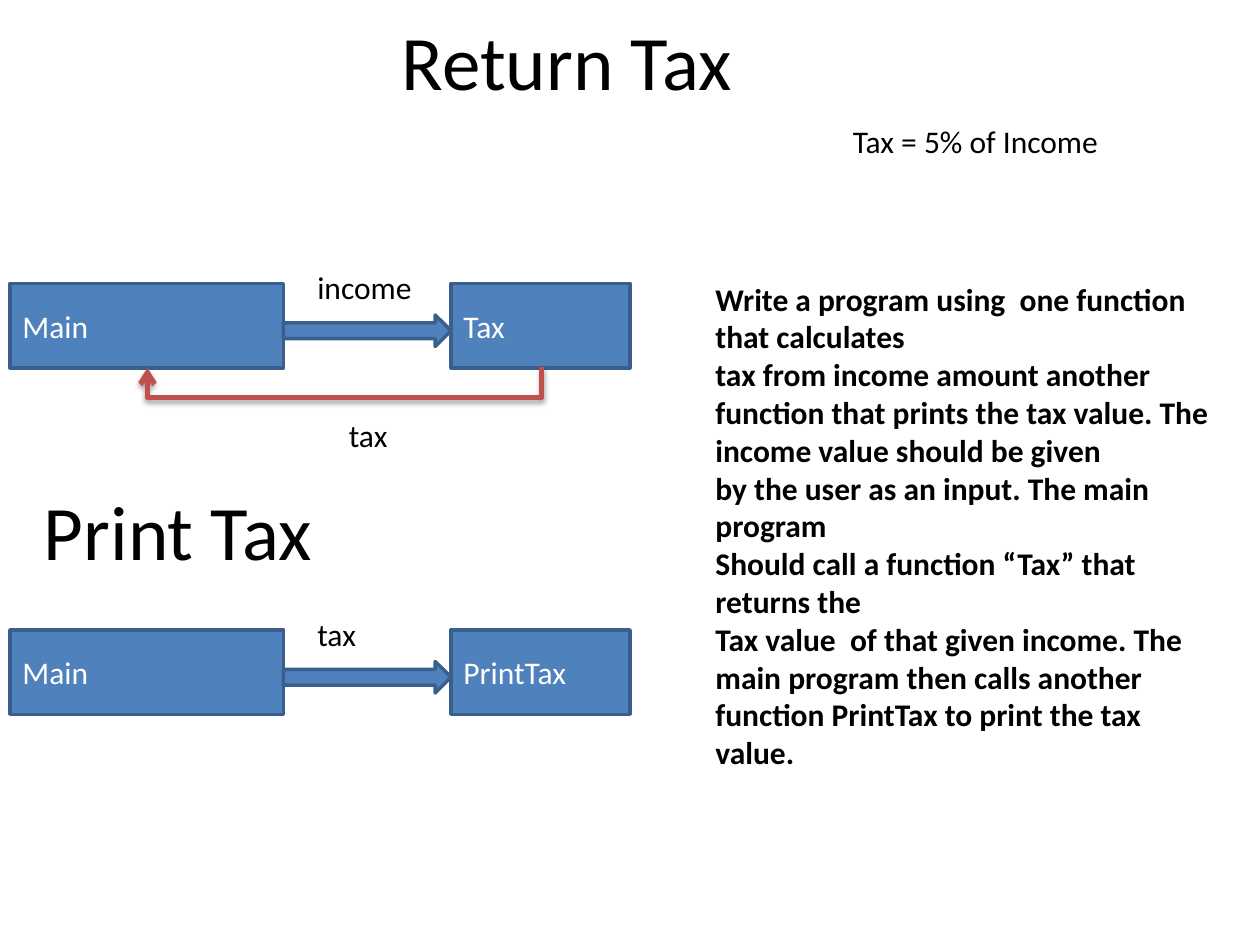
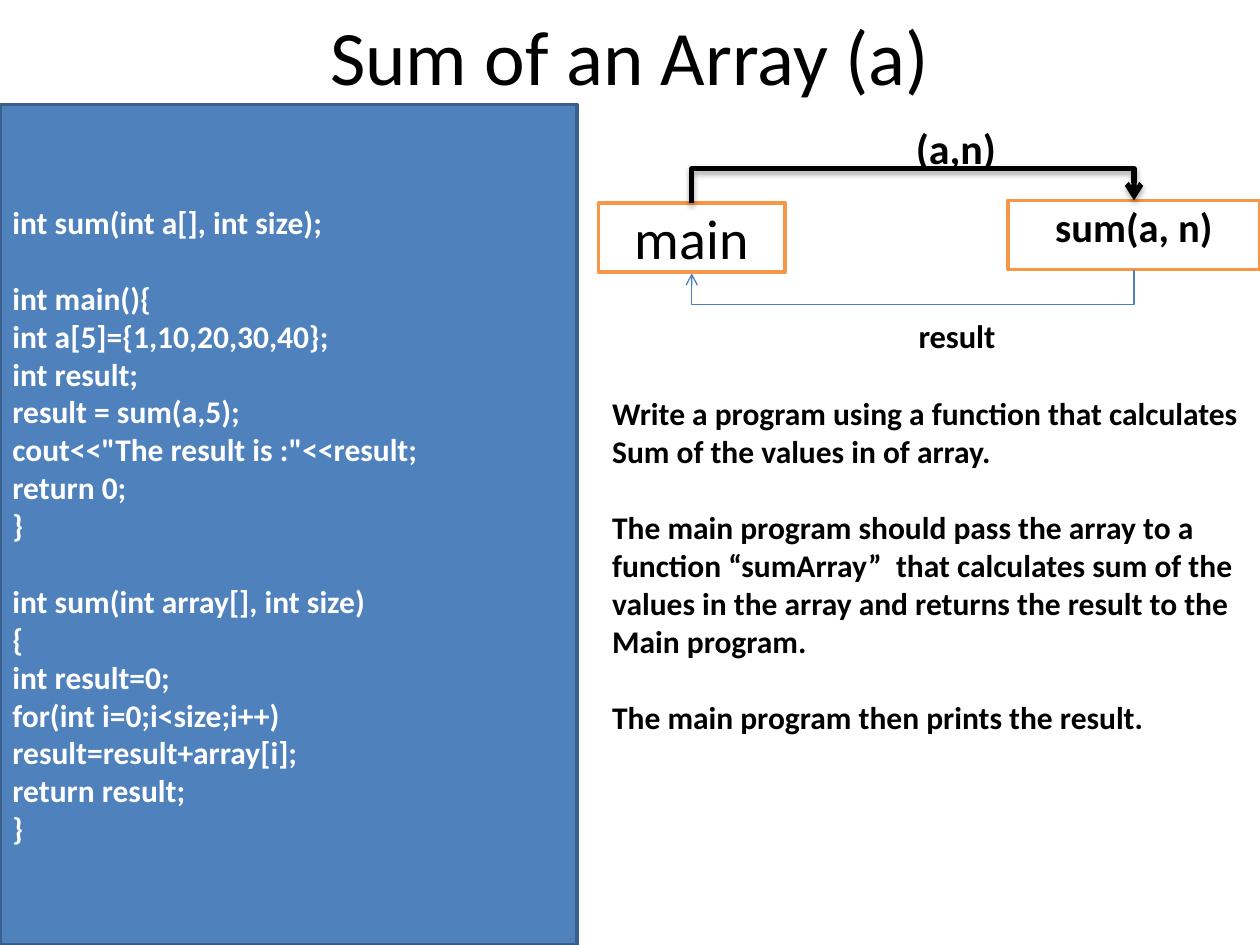
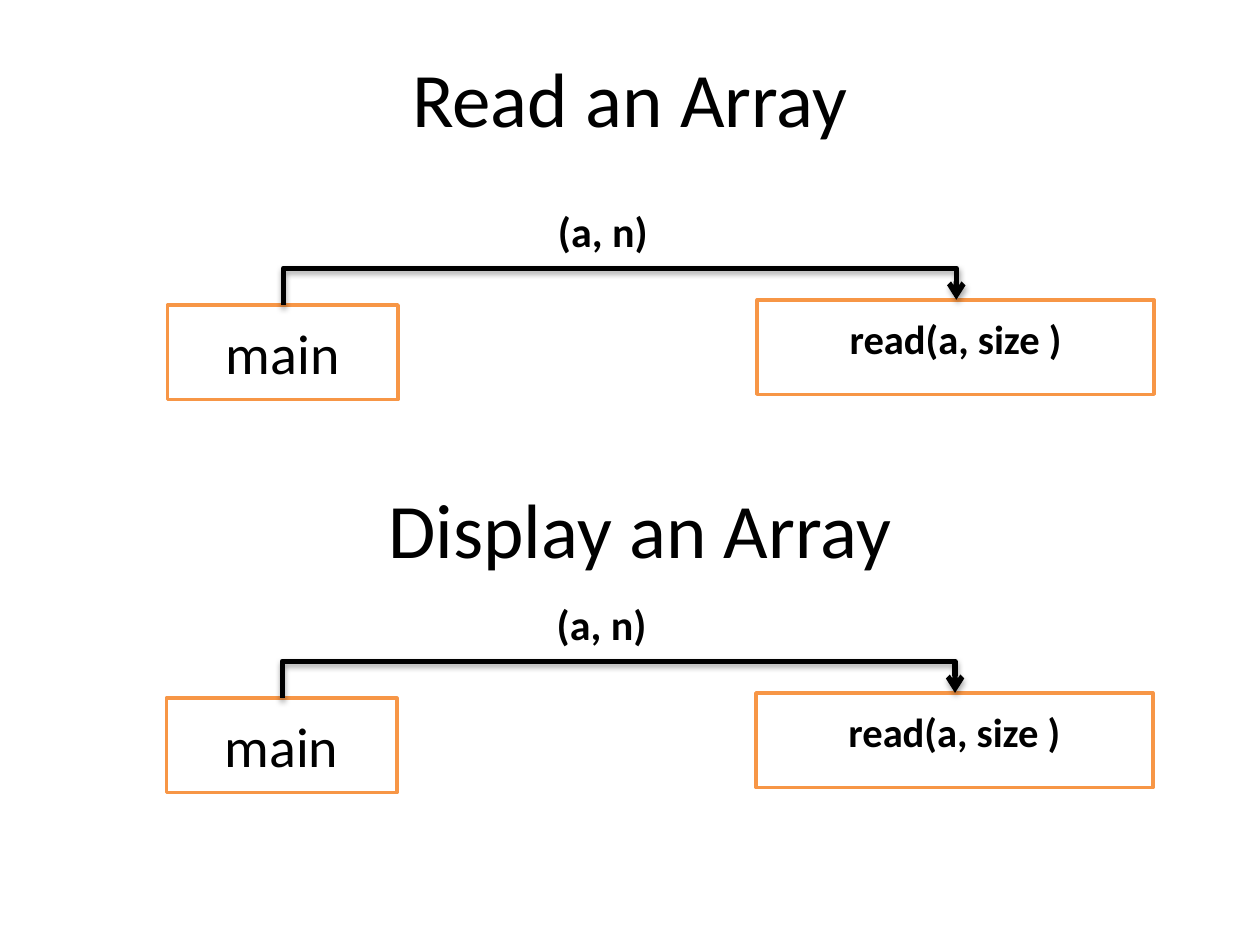
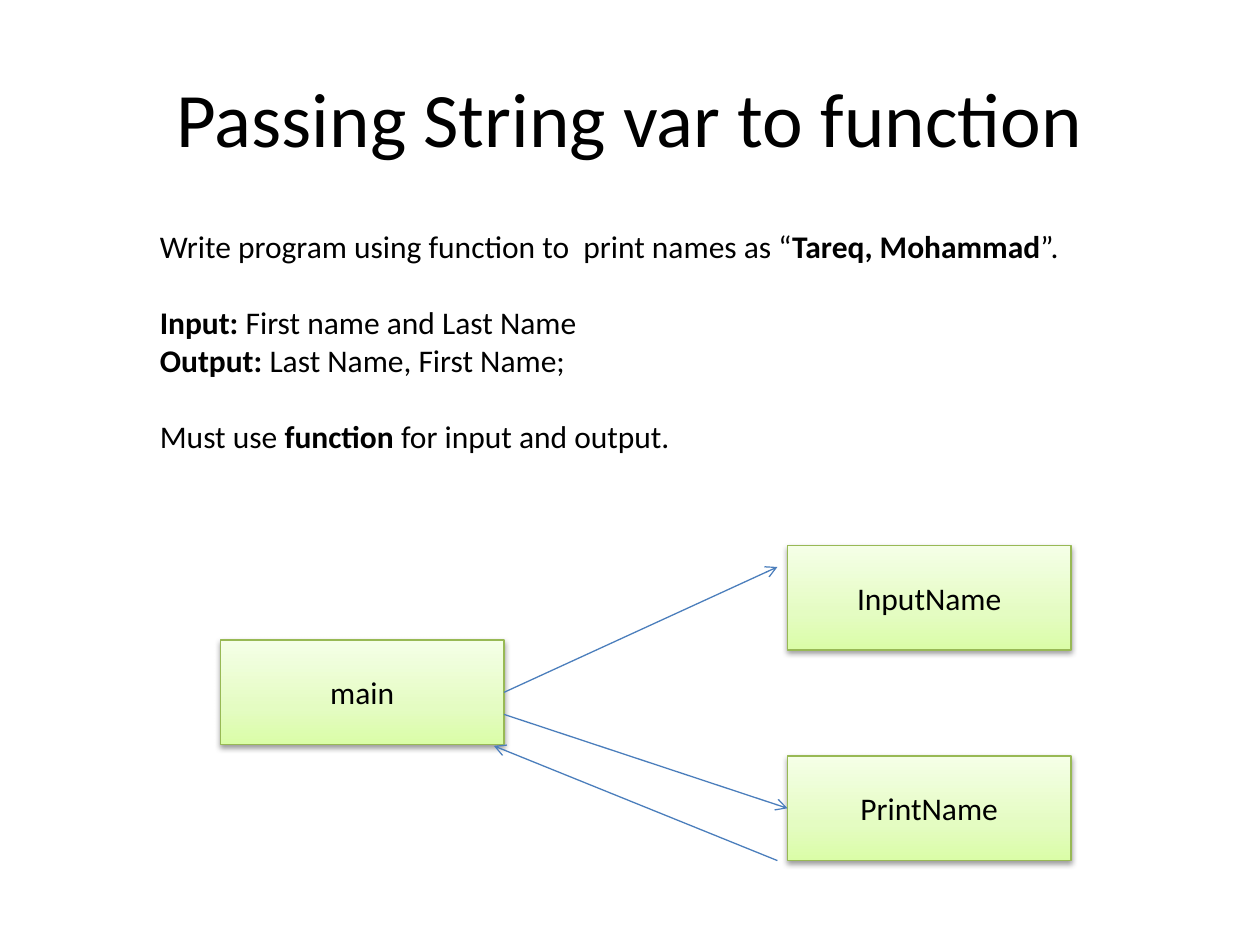
from copy import deepcopy
from dataclasses import dataclass, replace

from lxml.etree import SubElement
from pptx import Presentation
from pptx.dml.color import RGBColor
from pptx.enum.shapes import MSO_CONNECTOR as Link, MSO_SHAPE as Shape
from pptx.enum.text import MSO_ANCHOR as Anchor, MSO_AUTO_SIZE as Fit, PP_ALIGN as Align
from pptx.oxml.ns import qn
from pptx.util import Inches, Pt


@dataclass(frozen=True)
class Theme:
    font: str = "Calibri"
    title: int = 44
    raised: int = 40
    name: int = 32
    call: int = 24
    body: int = 18
    line_gap: int = 22
    black: str = "000000"
    white: str = "FFFFFF"
    blue: str = "4F81BD"
    navy: str = "3A5F8C"
    arrow_blue: str = "4B7EBC"
    red: str = "C0504D"
    orange: str = "F79646"
    green: str = "98B955"
    green_stops: tuple = ((0, "DAFDA7"), (0.35, "E4FCC2"), (1, "F5FFE7"))


@dataclass(frozen=True)
class Look:
    size: int
    color: str = Theme.black
    bold: bool = False
    align: Align = Align.LEFT
    anchor: Anchor = Anchor.TOP
    wrap: bool = False
    raised: bool = False
    fill: str | tuple = ""
    line: str = ""
    weight: float = 2


THEME = Theme()
LABEL = Look(THEME.body)
BOLD_LABEL = replace(LABEL, bold=True)
CALL = Look(THEME.call, bold=True)
HEADING = Look(THEME.title, anchor=Anchor.MIDDLE, wrap=True)
BLUE_BOX = Look(THEME.body, THEME.white, anchor=Anchor.MIDDLE, wrap=True,
                fill=THEME.blue, line=THEME.navy)
MAIN_BOX = Look(THEME.name, align=Align.CENTER, anchor=Anchor.MIDDLE, wrap=True,
                fill=THEME.white, line=THEME.orange)
FUNCTION_BOX = replace(MAIN_BOX, size=THEME.raised, bold=True, raised=True)
GREEN_BOX = replace(MAIN_BOX, size=THEME.body, fill=THEME.green_stops,
                    line=THEME.green, weight=0.75)


def add_block(page, at, lines, look, kind=None):
    """Add a preset shape, or a text box without kind; *...* is bold, "" a gap."""
    place = [Inches(length) for length in at]
    if kind is None:
        box = page.shapes.add_textbox(*place)
    else:
        box = page.shapes.add_shape(kind, *place)
        box.shadow.inherit = False
        box.line.color.rgb = RGBColor.from_string(look.line)
        box.line.width = Pt(look.weight)
        if isinstance(look.fill, str):
            box.fill.solid()
            box.fill.fore_color.rgb = RGBColor.from_string(look.fill)
        else:
            box.fill.gradient()
            box.fill.gradient_angle = 90
            stops = box._element.spPr.find(".//" + qn("a:gsLst"))
            stops.insert(1, deepcopy(stops[0]))
            for stop, (position, color) in zip(box.fill.gradient_stops, look.fill):
                stop.position = position
                stop.color.rgb = RGBColor.from_string(color)
            add_shadow = SubElement(box._element.spPr.find(qn("a:effectLst")), qn("a:outerShdw"),
                                    blurRad="40000", dist="20000", dir="5400000", rotWithShape="0")
            tint = SubElement(add_shadow, qn("a:srgbClr"), val=THEME.black)
            SubElement(tint, qn("a:alpha"), val="38000")

    frame = box.text_frame
    frame.word_wrap = look.wrap
    frame.vertical_anchor = look.anchor
    if not look.wrap:
        frame.auto_size = Fit.SHAPE_TO_FIT_TEXT
    para, gap = None, False
    for line in lines:
        if not line:
            gap = True
            continue
        para = frame.add_paragraph() if para else frame.paragraphs[0]
        para.alignment = look.align
        if gap:
            para.space_before = Pt(THEME.line_gap)
            gap = False
        for index, piece in enumerate(line.split("*")):
            for part, words in enumerate(piece.split("\v")):
                if part:
                    para.add_line_break()
                if words:
                    span = para.add_run()
                    span.text = words
                    if index % 2:
                        span.font.bold = True
                    if look.raised:
                        span._r.get_or_add_rPr().set("baseline", "30000")
        para.font.name = THEME.font
        para.font.size = Pt(look.size)
        para.font.bold = look.bold
        para.font.color.rgb = RGBColor.from_string(look.color)
    return box


def add_arrow(page, start, end, color=THEME.arrow_blue, weight=0.75, lane=None):
    """Draw a straight arrow, or one that runs along the height lane."""
    if lane is None:
        arrow = page.shapes.add_connector(Link.STRAIGHT, *map(Inches, (*start, *end)))
    else:
        # A quarter turn swaps the axes around the arrow's centre.
        across, down = end[0] - start[0], end[1] - start[1]
        middle_x, middle_y = (start[0] + end[0]) / 2, (start[1] + end[1]) / 2
        corners = (middle_x - down / 2, middle_y + across / 2,
                   middle_x + down / 2, middle_y - across / 2)
        arrow = page.shapes.add_connector(Link.ELBOW, *map(Inches, corners))
        geometry = arrow._element.spPr
        geometry.find(qn("a:xfrm")).set("rot", "5400000")
        bend = round((lane - start[1]) / down * 100000)
        SubElement(geometry.find(".//" + qn("a:avLst")), qn("a:gd"),
                   name="adj1", fmla=f"val {bend}")
    arrow.line.color.rgb = RGBColor.from_string(color)
    arrow.line.width = Pt(weight)
    outline = arrow._element.spPr
    SubElement(outline.find(qn("a:ln")), qn("a:tailEnd"), type="arrow")
    effects = SubElement(outline, qn("a:effectLst"))
    if weight > 2:
        shadow = SubElement(effects, qn("a:outerShdw"), blurRad="40000", dist="23000",
                            dir="5400000", rotWithShape="0")
        tint = SubElement(shadow, qn("a:srgbClr"), val=THEME.black)
        SubElement(tint, qn("a:alpha"), val="35000")
    return arrow


deck = Presentation()
deck.slide_width, deck.slide_height = Inches(10), Inches(7.5)

pages = []
for text, at in [
    ("Return Tax", (0, 0, 9, 0.95)),
    ("Sum of an Array (a)", (0.5, 0, 9, 0.87)),
    ("Read an Array", (0.5, 0.33, 9, 0.87)),
    ("Passing String var to function", (0.5, 0.3, 9, 1.25)),
]:
    page = deck.slides.add_slide(deck.slide_layouts[5])
    title = page.shapes.title
    title.left, title.top, title.width, title.height = map(Inches, at)
    title.text_frame.text = text
    title.text_frame.vertical_anchor = Anchor.MIDDLE
    para = title.text_frame.paragraphs[0]
    para.alignment = Align.CENTER
    para.font.name = THEME.font
    para.font.size = Pt(THEME.title)
    para.font.color.rgb = RGBColor.from_string(THEME.black)
    pages.append(page)
tax_page, sum_page, array_page, string_page = pages

# Return Tax and Print Tax
for top, function, value, width in [(2.25, "Tax", "income", 0.97), (5, "PrintTax", "tax", 0.52)]:
    add_block(tax_page, (0.08, top, 2.17, 0.67), ["Main"], BLUE_BOX, Shape.RECTANGLE)
    add_block(tax_page, (3.58, top, 1.42, 0.67), [function], BLUE_BOX, Shape.RECTANGLE)
    add_block(tax_page, (2.25, top + 0.25, 1.33, 0.25), [], BLUE_BOX, Shape.RIGHT_ARROW)
    add_block(tax_page, (2.42, top - 0.17, width, 0.4), [value], LABEL)
add_arrow(tax_page, (4.3, 2.91), (1.17, 2.92), THEME.red, 3, lane=3.16)
add_block(tax_page, (2.67, 3.25, 0.52, 0.4), ["tax"], LABEL)
add_block(tax_page, (0.25, 3.58, 2.67, 1.25), ["Print Tax"], HEADING)
add_block(tax_page, (6.67, 0.92, 2.17, 0.4), ["Tax = 5% of Income"], LABEL)
add_block(tax_page, (5.58, 2.17, 4.17, 4.04), [
    "Write a program using  one function that calculates",
    "tax from income amount another function that prints the tax value. "
    "The income value should be given",
    "by the user as an input. The main program",
    "Should call a function “Tax” that returns the",
    "Tax value  of that given income. The main program then calls another "
    "function PrintTax to print the tax value.",
], replace(BOLD_LABEL, wrap=True))

# Sum of an Array
add_block(sum_page, (4.75, 1.61, 1.48, 0.55), ["main"], MAIN_BOX, Shape.RECTANGLE)
add_block(sum_page, (8, 1.59, 2, 0.55), ["sum(a, n)"], FUNCTION_BOX, Shape.RECTANGLE)
add_arrow(sum_page, (5.49, 1.61), (9, 1.59), THEME.black, 3, lane=1.34)
add_arrow(sum_page, (9, 2.14), (5.49, 2.17), lane=2.42)
add_block(sum_page, (7.17, 0.92, 0.85, 0.5), ["(a,n)"], CALL)
add_block(sum_page, (7.14, 2.41, 0.91, 0.46), ["result"],
          Look(THEME.name, bold=True, align=Align.CENTER, raised=True))
add_block(sum_page, (0, 0.83, 4.58, 6.67), [
    "int sum(int a[], int size);",
    "",
    "int main(){",
    "int a[5]={1,10,20,30,40};",
    "int result;",
    "result = sum(a,5);",
    'cout<<"The result is :"<<result;',
    "return 0;",
    "}",
    "",
    "int sum(int array[], int size)",
    "{",
    "int result=0;",
    "for(int i=0;i<size;i++)\vresult=result+array[i];",
    "return result;",
    "}",
], replace(BLUE_BOX, bold=True), Shape.RECTANGLE)
add_block(sum_page, (4.76, 3.08, 5.21, 3.43), [
    "Write a program using a function that calculates",
    "Sum of the values in of array.",
    "",
    "The main program should pass the array to a",
    "function “sumArray”  that calculates sum of the",
    "values in the array and returns the result to the",
    "Main program.",
    "",
    "The main program then prints the result.",
], BOLD_LABEL)

# Read an Array and Display an Array
for left, top in [(1.33, 2.42), (1.32, 5.54)]:
    add_block(array_page, (left, top, 1.83, 0.75), ["main"], MAIN_BOX, Shape.RECTANGLE)
    add_block(array_page, (left + 4.68, top - 0.04, 3.15, 0.75), ["read(a, size )"],
              FUNCTION_BOX, Shape.RECTANGLE)
    add_arrow(array_page, (left + 0.92, top), (left + 6.26, top - 0.04),
              THEME.black, 3, lane=top - 0.29)
    add_block(array_page, (left + 3, top - 0.84, 0.92, 0.5), ["(a, n)"], CALL)
add_block(array_page, (0.58, 3.75, 9, 0.87), ["Display an Array"],
          replace(HEADING, align=Align.CENTER))

# Passing String var to function
main_box, input_box, print_box = [
    add_block(string_page, (left, top, 2.25, 0.83), [name], GREEN_BOX, Shape.RECTANGLE)
    for left, top, name in [(1.75, 5.08, "main"), (6.25, 4.33, "InputName"), (6.25, 6, "PrintName")]
]
add_block(string_page, (1.17, 1.75, 8.02, 1.92), [
    "Write program using function to  print names as “*Tareq, Mohammad*”.",
    "",
    "*Input: *First name and Last Name",
    "*Output: *Last Name, First Name;",
    "",
    "Must use *function *for input and output.",
], LABEL)
add_arrow(string_page, (4, 5.5), (6.17, 4.5)).begin_connect(main_box, 3)
add_arrow(string_page, (4, 5.67), (6.25, 6.42)).end_connect(print_box, 1)
add_arrow(string_page, (6.17, 6.83), (3.92, 5.92))

deck.save("out.pptx")
